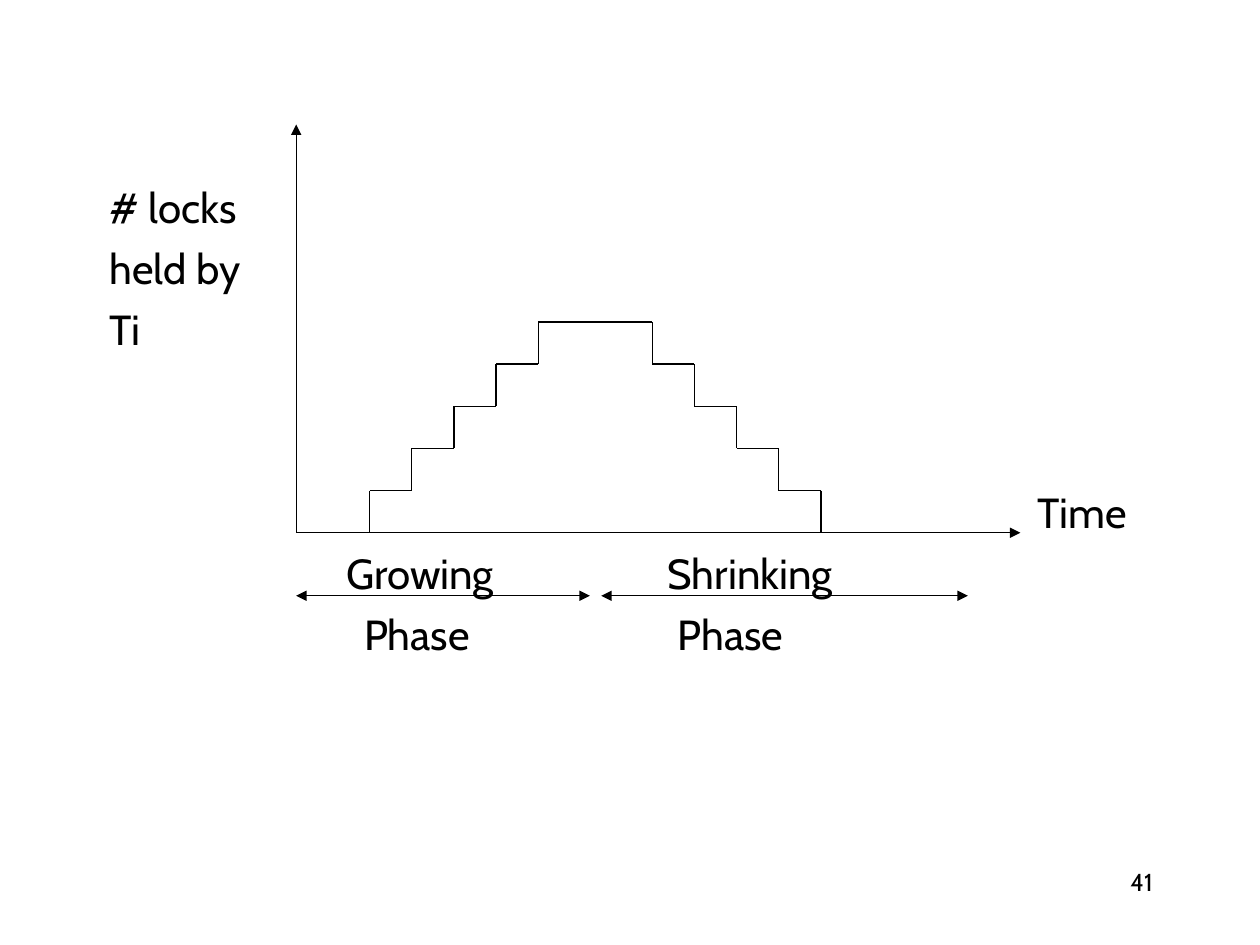
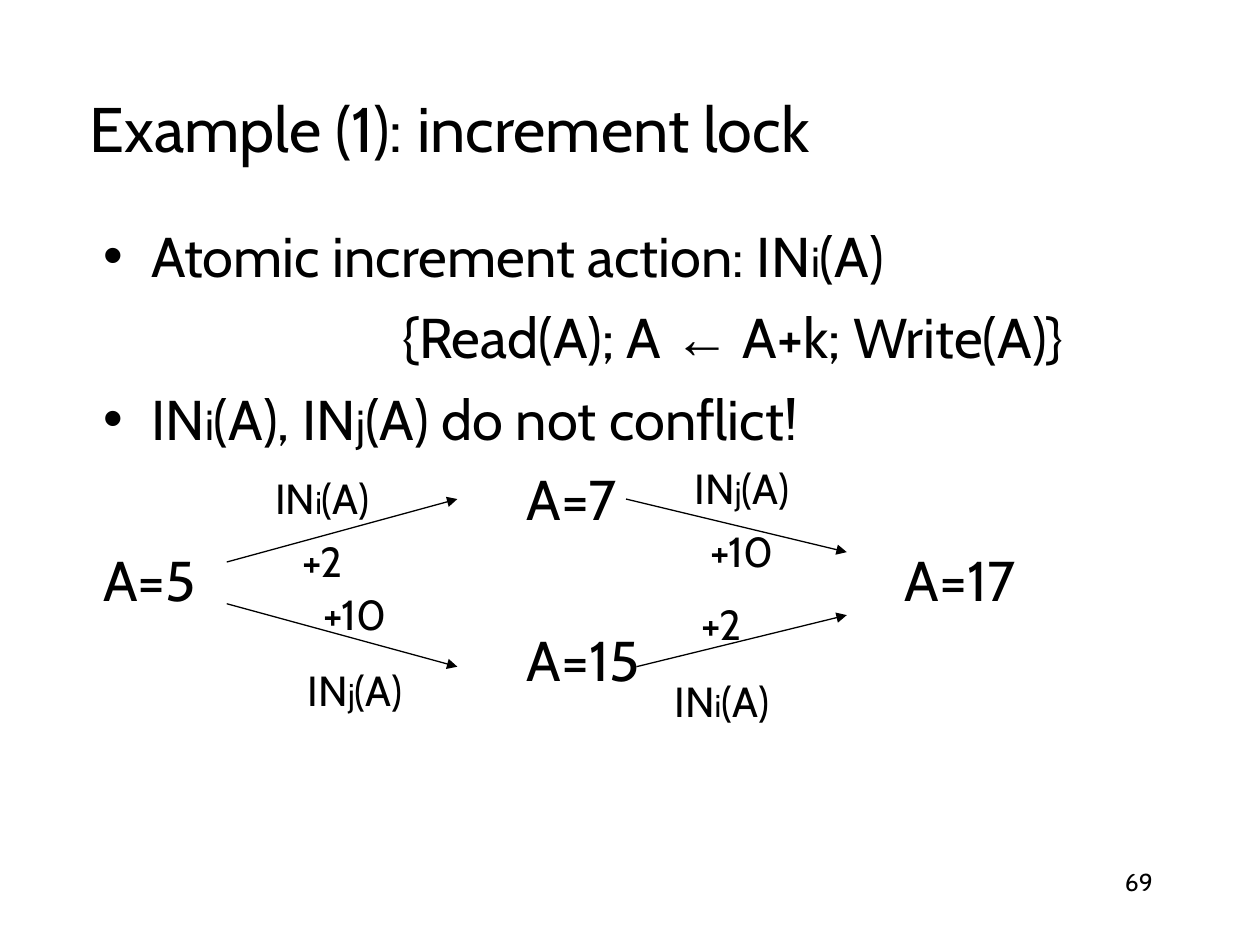
from dataclasses import dataclass
from itertools import pairwise

from lxml.etree import SubElement
from pptx import Presentation
from pptx.dml.color import RGBColor
from pptx.enum.shapes import MSO_CONNECTOR as Connector
from pptx.enum.text import MSO_ANCHOR as Anchor
from pptx.enum.text import MSO_AUTO_SIZE as AutoSize
from pptx.enum.text import PP_ALIGN as Align
from pptx.oxml.ns import qn
from pptx.slide import Slide
from pptx.text.text import TextFrame
from pptx.util import Cm, Pt

COLORS = {"background": "FFFFFF", "ink": "000000"}
FONT = "Cabin"
ARROW_FONT = "Arial"
SUBSCRIPTS = {"i", "j"}
SUBSCRIPT_SCALE = 0.75
TITLE_ONLY, BLANK = 5, 6

ORIGIN_X, ORIGIN_Y = 5.97, 10.74
STEP = 0.85
STEP_COUNT = 5
STAIRS_LEFT, STAIRS_RIGHT = 7.45, 16.55
PHASE_Y = 12.01

ROW_TOP, ROW_PITCH = 4.47, 1.63


@dataclass(frozen=True)
class Line:
    pieces: tuple[str, ...]
    indent: float = 0
    bullet: bool = False
    space_before: float = 0
    spacing: float | None = None


@dataclass(frozen=True)
class Label:
    left: float
    top: float
    width: float
    height: float
    lines: tuple[Line, ...]
    size: float = 24
    align: Align = Align.LEFT
    anchor: Anchor = Anchor.TOP
    wrap: bool = True


@dataclass(frozen=True)
class Arrow:
    start: tuple[float, float]
    end: tuple[float, float]
    head: bool = False
    tail: bool = True


def color(name: str) -> RGBColor:
    return RGBColor.from_string(COLORS[name])


def write_lines(frame: TextFrame, lines: tuple[Line, ...], size: float, align: Align) -> None:
    for index, line in enumerate(lines):
        paragraph = frame.add_paragraph() if index else frame.paragraphs[0]
        properties = paragraph._p.get_or_add_pPr()
        properties.set("marL", str(Cm(line.indent)))
        if line.bullet:
            properties.set("indent", str(-Cm(line.indent)))
            SubElement(properties, qn("a:buFont"), typeface=ARROW_FONT)
            SubElement(properties, qn("a:buChar"), char="•")
        paragraph.alignment = align
        paragraph.space_before = Pt(line.space_before if index else 0)
        if line.spacing:
            paragraph.line_spacing = line.spacing
        for piece in line.pieces:
            run = paragraph.add_run()
            run.text = piece
            run.font.name = ARROW_FONT if piece == "←" else FONT
            run.font.size = Pt(size * SUBSCRIPT_SCALE if piece in SUBSCRIPTS else size)
            run.font.color.rgb = color("ink")


def add_label(slide: Slide, label: Label) -> None:
    box = slide.shapes.add_textbox(
        Cm(label.left), Cm(label.top), Cm(label.width), Cm(label.height)
    )
    frame = box.text_frame
    frame.margin_left = frame.margin_right = frame.margin_top = frame.margin_bottom = 0
    frame.word_wrap = label.wrap
    frame.vertical_anchor = label.anchor
    write_lines(frame, label.lines, label.size, label.align)


def add_arrow(slide: Slide, arrow: Arrow) -> None:
    connector = slide.shapes.add_connector(
        Connector.STRAIGHT, *(Cm(value) for value in arrow.start + arrow.end)
    )
    connector.line.color.rgb = color("ink")
    connector.line.width = Pt(0.75)
    outline = connector.line._get_or_add_ln()
    for tag, wanted in (("a:headEnd", arrow.head), ("a:tailEnd", arrow.tail)):
        if wanted:
            SubElement(outline, qn(tag), type="triangle")
    SubElement(connector._element.spPr, qn("a:effectLst"))


def add_slide(presentation: Presentation, layout: int, number: int) -> Slide:
    slide = presentation.slides.add_slide(presentation.slide_layouts[layout])
    slide.background.fill.solid()
    slide.background.fill.fore_color.rgb = color("background")
    add_label(slide, Label(18.47, 17.48, 4.77, 1.02, (Line((str(number),)),), 14, Align.RIGHT))
    return slide


def add_title(slide: Slide, text: str) -> None:
    title = slide.shapes.title
    title.left, title.top, title.width, title.height = Cm(1.55), Cm(0.97), Cm(21.59), Cm(3.18)
    frame = title.text_frame
    frame.auto_size = AutoSize.NONE
    frame.vertical_anchor = Anchor.MIDDLE
    write_lines(frame, (Line((text,)),), 36, Align.LEFT)


def stair_points() -> list[tuple[float, float]]:
    rising = [
        (STAIRS_LEFT + step * STEP, ORIGIN_Y - level * STEP)
        for step in range(STEP_COUNT)
        for level in (step, step + 1)
    ]
    falling = [(STAIRS_LEFT + STAIRS_RIGHT - x, y) for x, y in reversed(rising)]
    return rising + falling


def build_lock_phases(presentation: Presentation) -> None:
    slide = add_slide(presentation, BLANK, 41)
    for left, top, width, texts, second_indent in (
        (2.21, 3.66, 3.5, ("# locks", "held by", "Ti"), 0),
        (20.92, 9.8, 3, ("Time",), 0),
        (6.98, 11.03, 4, ("Growing", "Phase"), 0.36),
        (13.46, 11.03, 4, ("Shrinking", "Phase"), 0.2),
    ):
        lines = tuple(
            Line((text,), indent=second_indent if index else 0, space_before=6)
            for index, text in enumerate(texts)
        )
        add_label(slide, Label(left, top, width, 1.23 * len(texts), lines))

    origin = (ORIGIN_X, ORIGIN_Y)
    add_arrow(slide, Arrow(origin, (20.57, ORIGIN_Y)))
    add_arrow(slide, Arrow(origin, (ORIGIN_X, 2.51)))
    for left, right in ((ORIGIN_X, 11.89), (12.12, 19.51)):
        add_arrow(slide, Arrow((left, PHASE_Y), (right, PHASE_Y), head=True))
    for start, end in pairwise(stair_points()):
        add_arrow(slide, Arrow(start, end, tail=False))


def build_increment_lock(presentation: Presentation) -> None:
    slide = add_slide(presentation, TITLE_ONLY, 69)
    add_title(slide, "Example (1): increment lock")
    rules = (
        Line(("Atomic increment action: IN", "i", "(A)"), 0.97, True),
        Line(("{Read(A); A ", "←", " A+k; Write(A)}"), 6.03, space_before=8),
        Line(("IN", "i", "(A), IN", "j", "(A) do not conflict!"), 0.97, True, 8),
    )
    add_label(slide, Label(2.08, ROW_TOP, 21.08, 3 * ROW_PITCH, rules, 32))
    for text, left, row in (("A=7", 10.62, 3), ("A=5", 2.08, 4), ("A=17", 18.24, 4), ("A=15", 10.62, 5)):
        top = ROW_TOP + row * ROW_PITCH
        add_label(slide, Label(left, top, 3, 1.36, (Line((text,)),), 32))

    for start, end in (
        ((4.57, 11.33), (9.22, 10.06)),
        ((4.57, 12.17), (9.22, 13.44)),
        ((12.62, 10.06), (17.07, 11.13)),
        ((12.83, 13.44), (17.07, 12.4)),
    ):
        add_arrow(slide, Arrow(start, end))

    for left, top, transaction, amount, action_first in (
        (5.18, 9.4, "i", "+2", True),
        (13.64, 9.19, "j", "+10", True),
        (5.84, 11.73, "j", "+10", False),
        (13.23, 11.94, "i", "+2", False),
    ):
        action = Line(("IN", transaction, "(A)"), space_before=15)
        change = Line((amount,), space_before=15, spacing=0.7 if action_first else None)
        lines = (action, change) if action_first else (change, action)
        height = 2.51 if action_first else 2.82
        add_label(
            slide,
            Label(left, top, 2.64, height, lines, 24, Align.CENTER, Anchor.MIDDLE, wrap=False),
        )


def main() -> None:
    presentation = Presentation()
    presentation.slide_width, presentation.slide_height = Cm(25.4), Cm(19.05)
    build_lock_phases(presentation)
    build_increment_lock(presentation)
    presentation.save("out.pptx")


if __name__ == "__main__":
    main()
